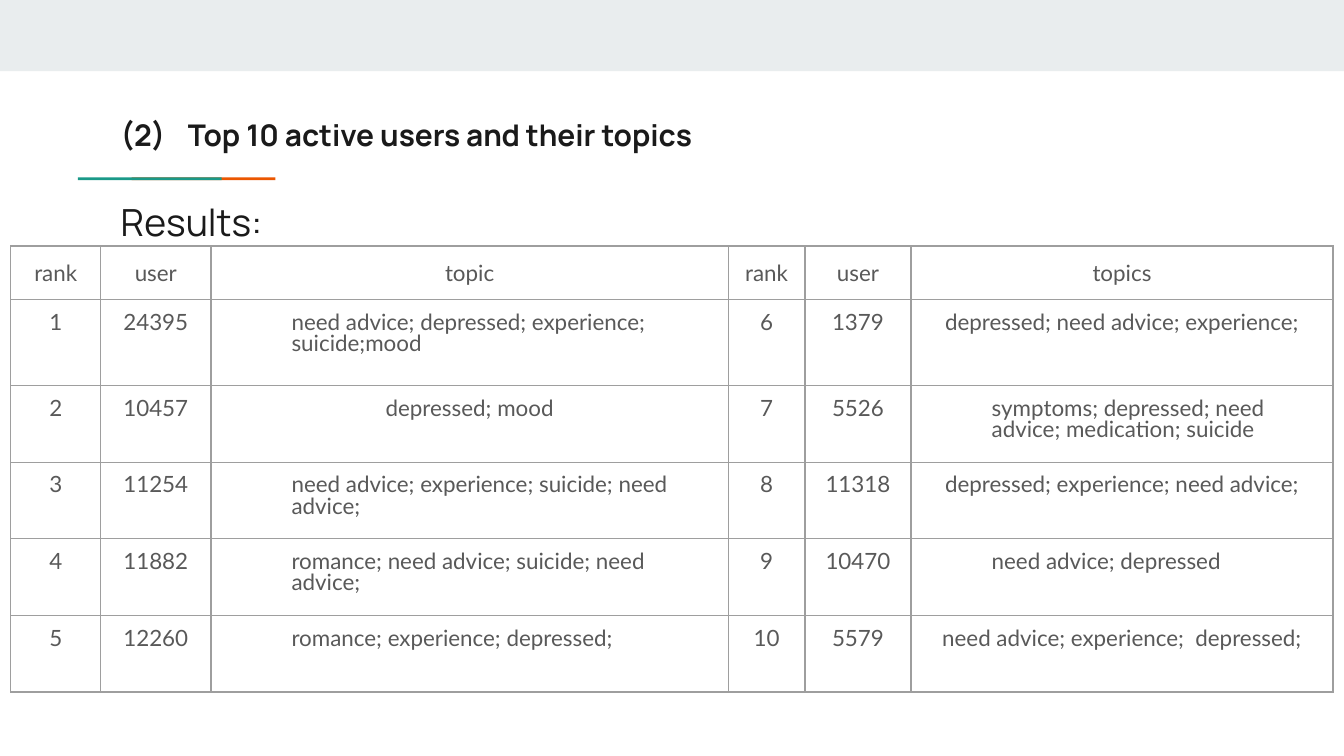
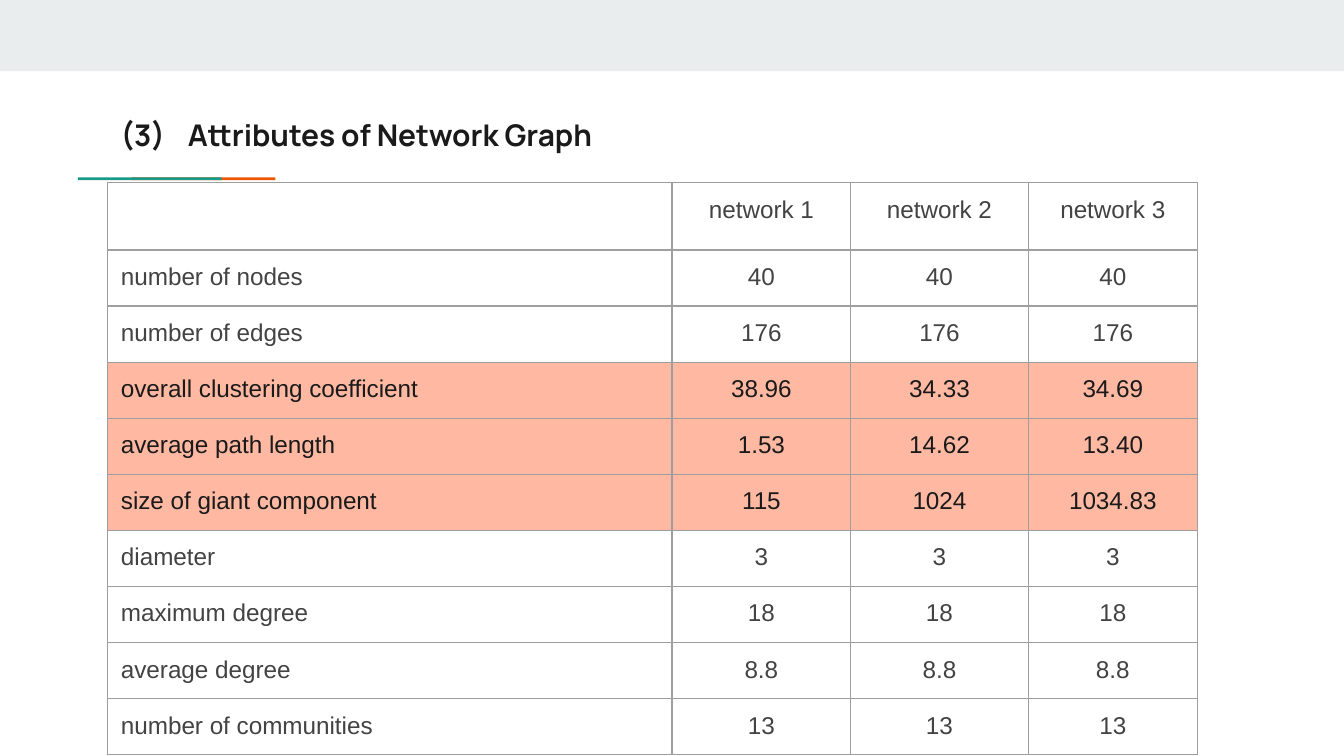
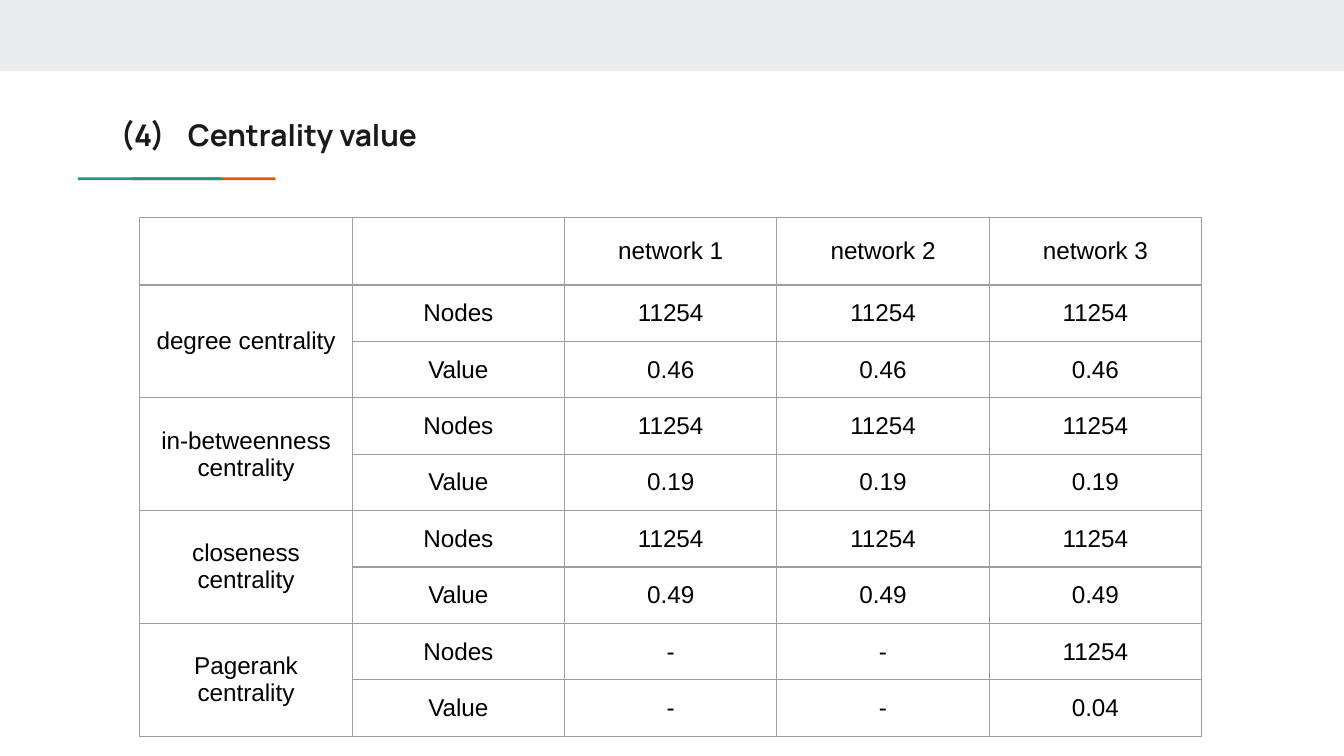
from dataclasses import dataclass

from lxml import etree
from pptx import Presentation
from pptx.dml.color import RGBColor
from pptx.enum.shapes import MSO_SHAPE
from pptx.enum.text import MSO_ANCHOR, PP_ALIGN
from pptx.oxml.ns import qn
from pptx.util import Inches, Pt

RECTANGLE = MSO_SHAPE.RECTANGLE
TOP, MIDDLE = MSO_ANCHOR.TOP, MSO_ANCHOR.MIDDLE
LEFT, CENTER = PP_ALIGN.LEFT, PP_ALIGN.CENTER


@dataclass(frozen=True)
class Theme:
    band: str = "E9EDEE"
    teal: str = "1A9988"
    orange: str = "EB5600"
    ink: str = "1A1A1A"
    topic_ink: str = "595959"
    attribute_ink: str = "434343"
    centrality_ink: str = "000000"
    highlight: str = "FFB8A2"
    border: str = "9E9E9E"
    heading_font: str = "Manrope"
    topic_font: str = "Lato"
    number_font: str = "Arial"
    heading_size: float = 16
    subtitle_size: float = 20
    topic_size: float = 12
    number_size: float = 13
    empty_size: float = 18
    border_width: float = 0.75
    padding: float = 0.1


THEME = Theme()

USER_HEADER = ["rank", "user", "topic", "rank", "user", "topics"]
USER_ROWS = [
    ["1", "24395", "need advice; depressed; experience; suicide;mood",
     "6", "1379", "depressed; need advice; experience;"],
    ["2", "10457", "depressed; mood",
     "7", "5526", "symptoms; depressed; need advice; medication; suicide"],
    ["3", "11254", "need advice; experience; suicide; need advice;",
     "8", "11318", "depressed; experience; need advice;"],
    ["4", "11882", "romance; need advice; suicide; need advice;",
     "9", "10470", "need advice; depressed"],
    ["5", "12260", "romance; experience; depressed;",
     "10", "5579", "need advice; experience;  depressed;"],
]
INDENTED_TOPICS = {(1, 2), (3, 2), (4, 2), (5, 2), (2, 5), (4, 5)}

NETWORKS = ["network 1", "network 2", "network 3"]
ATTRIBUTES = [
    ["number of nodes", "40", "40", "40"],
    ["number of edges", "176", "176", "176"],
    ["overall clustering coefficient", "38.96", "34.33", "34.69"],
    ["average path length", "1.53", "14.62", "13.40"],
    ["size of giant component", "115", "1024", "1034.83"],
    ["diameter", "3", "3", "3"],
    ["maximum degree", "18", "18", "18"],
    ["average degree", "8.8", "8.8", "8.8"],
    ["number of communities", "13", "13", "13"],
]
HIGHLIGHTED_ROWS = range(3, 6)

CENTRALITIES = [
    ("degree centrality", ["11254"] * 3, ["0.46"] * 3),
    ("in-betweenness\ncentrality", ["11254"] * 3, ["0.19"] * 3),
    ("closeness\ncentrality", ["11254"] * 3, ["0.49"] * 3),
    ("Pagerank\ncentrality", ["-", "-", "11254"], ["-", "-", "0.04"]),
]


def rgb(color):
    return RGBColor.from_string(color)


def style_text(text_frame, font, size, color, bold=False, align=LEFT):
    for paragraph in text_frame.paragraphs:
        paragraph.alignment = align
        for run in paragraph.runs:
            run.font.name = font
            run.font.size = Pt(size)
            run.font.bold = bold
            run.font.color.rgb = rgb(color)


def style_empty(text_frame, font):
    ending = etree.SubElement(text_frame.paragraphs[0]._p, qn("a:endParaRPr"),
                              sz=str(THEME.empty_size * 100))
    etree.SubElement(ending, qn("a:latin"), typeface=font)


def set_padding(holder):
    holder.margin_left = holder.margin_right = Inches(THEME.padding)
    holder.margin_top = holder.margin_bottom = Inches(THEME.padding)


def add_bar(slide, left, top, width, height, color):
    shape = slide.shapes.add_shape(
        RECTANGLE, Inches(left), Inches(top), Inches(width), Inches(height))
    shape.shadow.inherit = False
    shape.fill.solid()
    shape.fill.fore_color.rgb = rgb(color)
    shape.line.fill.background()


def add_label(slide, left, top, width, height, text, size, bold=False, anchor=TOP):
    box = slide.shapes.add_textbox(
        Inches(left), Inches(top), Inches(width), Inches(height))
    text_frame = box.text_frame
    text_frame.word_wrap = True
    text_frame.vertical_anchor = anchor
    set_padding(text_frame)
    text_frame.text = text
    style_text(text_frame, THEME.heading_font, size, THEME.ink, bold)
    return text_frame.paragraphs[0]


def set_indent(paragraph, left, first_line=0):
    properties = paragraph._p.get_or_add_pPr()
    properties.set("marL", str(Inches(left)))
    properties.set("indent", str(Inches(first_line)))


def add_accent(slide, left, top):
    bar_width, bar_height, offset = 1.07, 0.02, 0.4
    add_bar(slide, left + offset, top, bar_width, bar_height, THEME.orange)
    add_bar(slide, left, top, bar_width, bar_height, THEME.teal)


def add_base_slide(presentation, number, heading):
    slide = presentation.slides.add_slide(presentation.slide_layouts[6])
    add_bar(slide, 0, 0, 10, 0.53, THEME.band)
    add_accent(slide, 0.58, 1.32)
    paragraph = add_label(slide, 0.8, 0.54, 8.89, 0.93, f"({number})\t{heading}",
                          THEME.heading_size, True, MIDDLE)
    set_indent(paragraph, 0.5, -0.5)
    return slide


def set_borders(cell):
    properties = cell._tc.get_or_add_tcPr()
    for side in ("a:lnL", "a:lnR", "a:lnT", "a:lnB"):
        line = etree.SubElement(properties, qn(side), w=str(Pt(THEME.border_width)))
        fill = etree.SubElement(line, qn("a:solidFill"))
        etree.SubElement(fill, qn("a:srgbClr"), val=THEME.border)


def add_grid(slide, left, top, column_widths, row_heights, rows, font, size, color,
             anchor=TOP):
    table = slide.shapes.add_table(
        len(rows), len(column_widths), Inches(left), Inches(top),
        Inches(sum(column_widths)), Inches(sum(row_heights))).table
    table.first_row = table.horz_banding = False
    for column, width in zip(table.columns, column_widths):
        column.width = Inches(width)
    for row, height, texts in zip(table.rows, row_heights, rows):
        row.height = Inches(height)
        for cell, text in zip(row.cells, texts):
            set_borders(cell)
            cell.fill.background()
            cell.vertical_anchor = anchor
            set_padding(cell)
            if text:
                cell.text_frame.text = text
                style_text(cell.text_frame, font, size, color, align=CENTER)
            else:
                style_empty(cell.text_frame, font)
    return table


def add_users_slide(presentation):
    slide = add_base_slide(presentation, 2, "Top 10 active users and their topics")
    add_label(slide, 0.8, 1.38, 8.41, 0.59, "Results:", THEME.subtitle_size)
    table = add_grid(slide, 0.08, 1.83, [0.67, 0.82, 3.85, 0.57, 0.79, 3.14],
                     [0.32, 0.64] + [0.57] * 4, [USER_HEADER] + USER_ROWS,
                     THEME.topic_font, THEME.topic_size, THEME.topic_ink)
    for row in range(1, len(table.rows)):
        for column in range(len(table.columns)):
            paragraph = table.cell(row, column).text_frame.paragraphs[0]
            paragraph.line_spacing = 0.8
            if (row, column) in INDENTED_TOPICS:
                paragraph.alignment = LEFT
                paragraph.space_after = Pt(16)
                set_indent(paragraph, 0.5)


def add_attributes_slide(presentation):
    slide = add_base_slide(presentation, 3, "Attributes of Network Graph")
    table = add_grid(slide, 0.8, 1.36, [4.2, 1.33, 1.32, 1.26],
                     [0.33, 0.13] + [0.33] * 8, [[""] + NETWORKS] + ATTRIBUTES,
                     THEME.number_font, THEME.number_size, THEME.attribute_ink)
    for row in range(1, len(table.rows)):
        table.cell(row, 0).text_frame.paragraphs[0].alignment = LEFT
    for row in HIGHLIGHTED_ROWS:
        for cell in table.rows[row].cells:
            cell.fill.solid()
            cell.fill.fore_color.rgb = rgb(THEME.highlight)
            cell.text_frame.paragraphs[0].runs[0].font.color.rgb = rgb(THEME.ink)


def add_centrality_slide(presentation):
    slide = add_base_slide(presentation, 4, "Centrality value")
    rows = [["", ""] + NETWORKS]
    for measure, nodes, values in CENTRALITIES:
        rows += [[measure, "Nodes"] + nodes, ["", "Value"] + values]
    table = add_grid(slide, 1.04, 1.62, [1.58] * 5, [0.42] * len(rows),
                     rows, THEME.number_font, THEME.number_size,
                     THEME.centrality_ink, MIDDLE)
    for row in range(1, len(rows), 2):
        table.cell(row, 0).merge(table.cell(row + 1, 0))


def main():
    presentation = Presentation()
    presentation.slide_width = Inches(10)
    presentation.slide_height = Inches(10) * 9 // 16
    add_users_slide(presentation)
    add_attributes_slide(presentation)
    add_centrality_slide(presentation)
    presentation.save("out.pptx")


if __name__ == "__main__":
    main()
